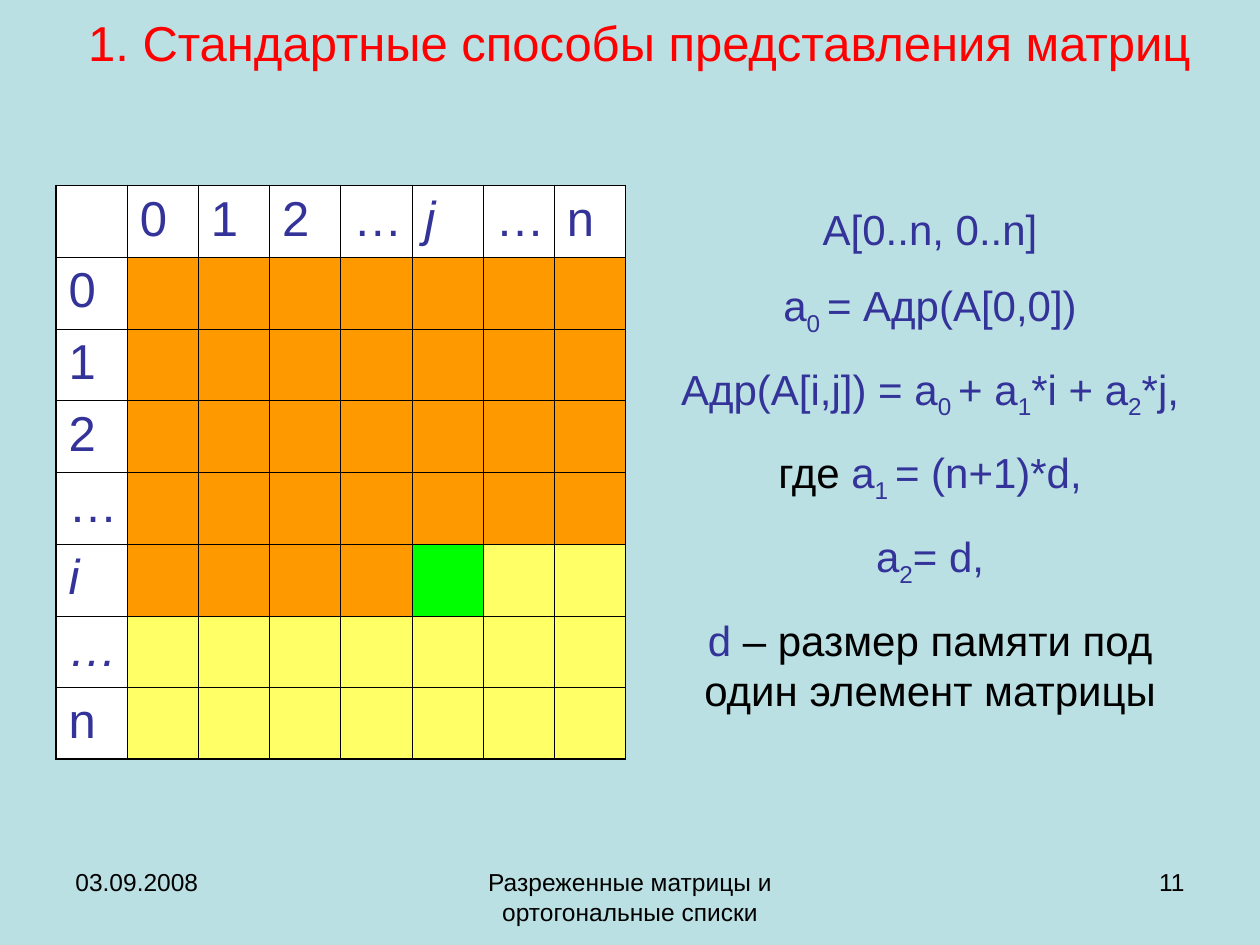
import pptx
import pptx.util
import pptx.dml.color
import pptx.enum.text
import pptx.oxml
import pptx.oxml.ns

Pt = pptx.util.Pt
Align = pptx.enum.text.PP_ALIGN
Anchor = pptx.enum.text.MSO_ANCHOR

BLUE, BLACK, RED, WHITE = "333399", "000000", "FF0000", "FFFFFF"
ORANGE, GREEN, YELLOW = "FF9900", "00FF00", "FFFF66"
LABELS = ["0", "1", "2", "…", "{}", "…", "n"]
MARK = 4  # place of i and j among the labels

# Each line is a list of (text, colour, is subscript)
LINES = [
    [("A[0..n, 0..n]", BLUE, False)],
    [("a", BLUE, False), ("0 ", BLUE, True), ("= Адр(A[0,0])", BLUE, False)],
    [("Адр(A[i,j]) = a", BLUE, False), ("0 ", BLUE, True), ("+ a", BLUE, False),
     ("1", BLUE, True), ("*i + a", BLUE, False), ("2", BLUE, True),
     ("*j,", BLUE, False)],
    [("где ", BLACK, False), ("a", BLUE, False), ("1 ", BLUE, True),
     ("= (n+1)*d,", BLUE, False)],
    [("a", BLUE, False), ("2", BLUE, True), ("= d,", BLUE, False)],
    [("d ", BLUE, False),
     ("– размер памяти под один элемент матрицы", BLACK, False)],
]


def rgb(code):
    return pptx.dml.color.RGBColor.from_string(code)


def style(font, size, color, italic=False):
    font.name, font.size, font.italic = "Arial", Pt(size), italic
    font.color.rgb = rgb(color)


def place(shape, box):
    shape.left, shape.top, shape.width, shape.height = map(Pt, box)


def add_title(slide, box):
    title = slide.shapes.title
    place(title, box)
    frame = title.text_frame
    frame.auto_size = pptx.enum.text.MSO_AUTO_SIZE.NONE
    frame.vertical_anchor = Anchor.MIDDLE
    frame.margin_left, frame.margin_right = Pt(1.4), Pt(2.9)
    frame.margin_top = frame.margin_bottom = Pt(0.7)
    frame.text = "1. Стандартные способы представления матриц"
    para = frame.paragraphs[0]
    para.alignment = Align.CENTER
    style(para.runs[0].font, 28, RED)


def add_edge(cell, side, width):
    line = pptx.oxml.parse_xml(
        f'<a:ln{side} {pptx.oxml.ns.nsdecls("a")} w="{Pt(width)}">'
        f'<a:solidFill><a:srgbClr val="{BLACK}"/></a:solidFill></a:ln{side}>')
    cell._tc.get_or_add_tcPr().append(line)


def shade(row, col):
    """Cells stored before (i, j) are orange, those after it yellow."""
    if row == 0 or col == 0:
        return WHITE
    here, goal = (row - 1, col - 1), (MARK, MARK)
    return GREEN if here == goal else ORANGE if here < goal else YELLOW


def add_grid(slide, box):
    count = len(LABELS) + 1
    last = count - 1
    table = slide.shapes.add_table(count, count, *map(Pt, box)).table
    table.first_row = table.horz_banding = False
    for k in range(count):
        table.columns[k].width = Pt(box[2] / count)
        table.rows[k].height = Pt(box[3] / count)

    # Borders and fills
    for row in range(count):
        for col in range(count):
            cell = table.cell(row, col)
            outer = {"L": col == 0, "R": col == last,
                     "T": row == 0, "B": row == last}
            for side, thick in outer.items():
                add_edge(cell, side, 1.08 if thick else 0.45)
            cell.fill.solid()
            cell.fill.fore_color.rgb = rgb(shade(row, col))

    # Row and column labels
    for k, label in enumerate(LABELS, 1):
        for cell, name in ((table.cell(0, k), "j"), (table.cell(k, 0), "i")):
            cell.text = label.format(name)
            slant = k == MARK + 1 or (name == "i" and k == MARK + 2)
            style(cell.text_frame.paragraphs[0].runs[0].font, 28, BLUE, slant)


def add_box(slide, box):
    frame = slide.shapes.add_textbox(*map(Pt, box)).text_frame
    frame.word_wrap = True
    return frame


def add_rules(slide, box):
    frame = add_box(slide, box)
    for k, line in enumerate(LINES):
        para = frame.add_paragraph() if k else frame.paragraphs[0]
        para.alignment = Align.CENTER
        if k:
            para.space_before = Pt(15)
        for text, color, low in line:
            run = para.add_run()
            run.text = text
            style(run.font, 24, color)
            if low:
                run.font._element.set("baseline", "-25000")


def add_foot(slide, box):
    left, top, width, height = box
    parts = [
        (0, 168, Align.LEFT, "03.09.2008"),
        (210, 228, Align.CENTER, "Разреженные матрицы и ортогональные списки"),
        (width - 168, 168, Align.RIGHT, "11"),
    ]
    for shift, wide, align, text in parts:
        frame = add_box(slide, (left + shift, top, wide, height))
        frame.text = text
        para = frame.paragraphs[0]
        para.alignment = align
        style(para.runs[0].font, 14, BLACK)


def main():
    deck = pptx.Presentation()
    deck.slide_width, deck.slide_height = Pt(720), Pt(540)
    slide = deck.slides.add_slide(deck.slide_layouts[5])
    fill = slide.background.fill
    fill.solid()
    fill.fore_color.rgb = rgb("BBE0E3")
    add_title(slide, (42, 12, 648, 24))
    add_grid(slide, (32, 106, 325.6, 328))
    add_rules(slide, (370.5, 112.5, 322, 387))
    add_foot(slide, (36, 492, 648, 37.5))
    deck.save("out.pptx")


if __name__ == "__main__":
    main()
